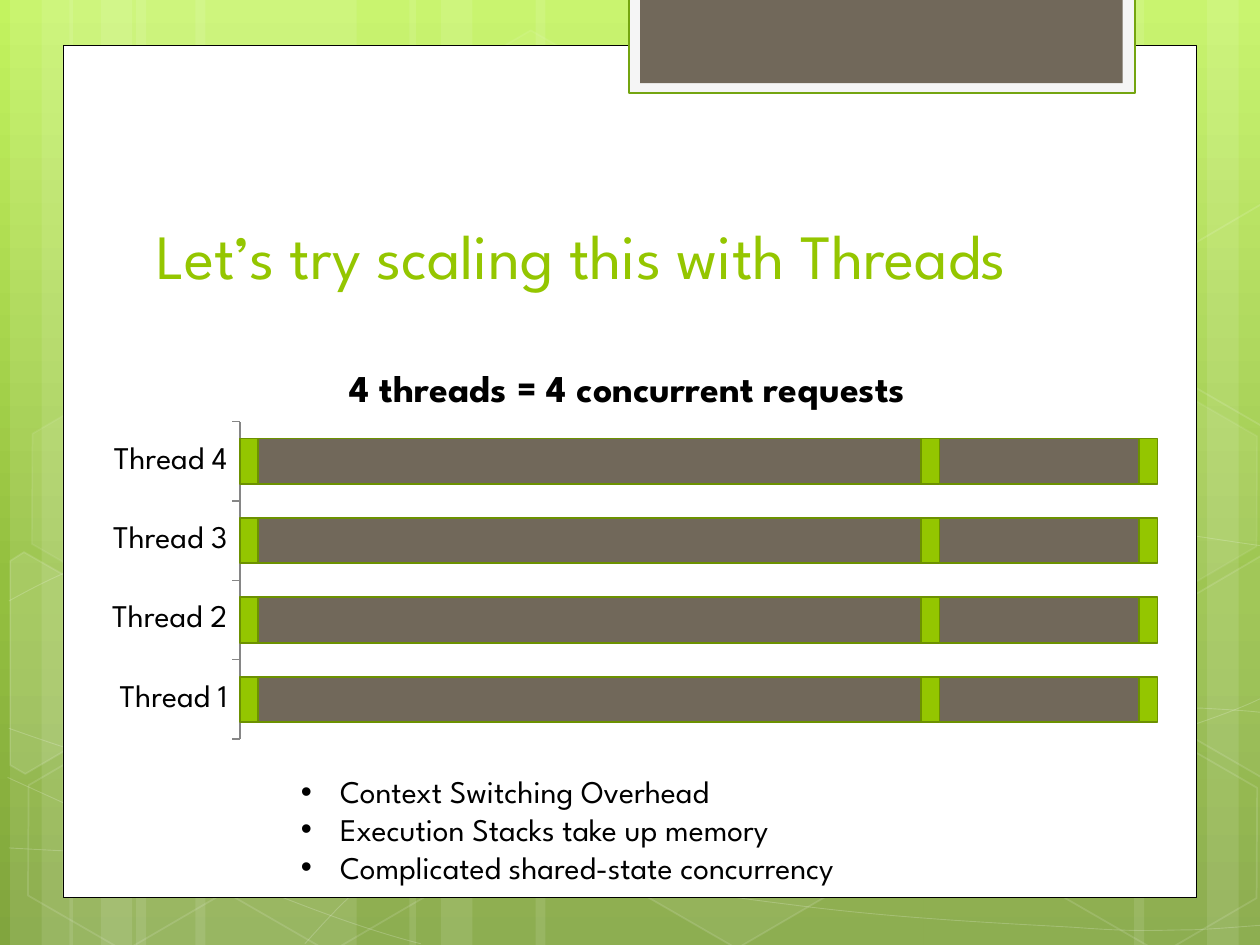
import copy
import math

import lxml.etree
import pptx
import pptx.chart.data
import pptx.dml.color
import pptx.enum.chart
import pptx.enum.shapes
import pptx.enum.text
import pptx.oxml.ns
import pptx.util

FONT = "League Spartan"
WHITE, BLACK, GREEN, DARK_GREEN, BROWN = "FFFFFF", "000000", "94C600", "74A510", "71685A"
RECT = pptx.enum.shapes.MSO_SHAPE.RECTANGLE
HEXAGON = pptx.enum.shapes.MSO_SHAPE.HEXAGON
TILT = 30

# Background curves in inches: a start point, then two handles and an end per segment
CURVES = [
    [(0.07, 6.73), (0.61, 6.76), (1.15, 6.79), (1.9, 6.78), (2.65, 6.77), (3.58, 6.75),
     (4.58, 6.65), (5.58, 6.55), (7, 6.36), (7.92, 6.17), (8.83, 5.98), (9.77, 5.68),
     (10.07, 5.51)],
    [(0.07, 4.77), (0.36, 4.61), (0.65, 4.46), (1.21, 4.31), (1.78, 4.16), (2.59, 3.94),
     (3.47, 3.87), (4.36, 3.8), (5.44, 3.79), (6.54, 3.87), (7.64, 3.95), (9.47, 4.26),
     (10.07, 4.34)],
    [(0.06, 6.17), (1.27, 6.72), (2.47, 7.27), (3.34, 7.49)],
    [(0.07, 5.78), (0.38, 5.89), (0.7, 6), (1.28, 6.16), (1.86, 6.31), (2.73, 6.56),
     (3.57, 6.73), (4.4, 6.9), (5.45, 7.08), (6.28, 7.18), (7.11, 7.29), (8, 7.33),
     (8.53, 7.36), (9.05, 7.4), (9.19, 7.38), (9.45, 7.38), (9.71, 7.37), (9.89, 7.35),
     (10.07, 7.34)],
    [(2.42, 7.49), (2.6, 7.29), (2.78, 7.09), (3.02, 6.91), (3.26, 6.73), (3.6, 6.53),
     (3.88, 6.39), (4.16, 6.25), (4.33, 6.19), (4.7, 6.09), (5.06, 5.99), (5.73, 5.85),
     (6.08, 5.78), (6.44, 5.71), (6.49, 5.71), (6.8, 5.69), (7.11, 5.66), (7.6, 5.63),
     (7.94, 5.62), (8.29, 5.61), (8.86, 5.62), (8.86, 5.62), (8.86, 5.62), (9.53, 5.62),
     (9.53, 5.62), (9.71, 5.63), (9.88, 5.64), (9.97, 5.65), (10.06, 5.66), (10.03, 5.65),
     (10.06, 5.66)],
]
# Hexagons: left, top, fill opacity (None = no fill), line opacity
HEXAGONS = [
    (3.34, 0.36, 4, 8), (4.97, 5.89, 6, 12), (0.11, 5.91, None, 12),
    (0.14, 3.12, 7, 8), (1.74, 5.92, None, 12), (7.53, 4.53, 10, 12),
    (8.34, 5.93, None, 12), (8.34, 3.14, 7, 8),
]
# Hexagons cut by the slide edge: outline, centre of rotation, fill opacity
CUT_LEFT = [(0.08, 4.45), (0.19, 4.38), (0.96, 4.82), (0.95, 5.7), (0.2, 6.14), (0.08, 6.07)]
CUT_RIGHT = [(9.26, 4.85), (10.01, 4.41), (10.09, 4.46), (10.09, 6.13), (10.02, 6.17),
             (9.26, 5.73)]
CUT_UPPER = [(x, y - 2.79) for x, y in CUT_RIGHT]
CUT_HEXAGONS = [(CUT_LEFT, (0.36, 5.35), 10), (CUT_RIGHT, (9.85, 5.2), 4),
                (CUT_UPPER, (9.85, 2.41), None)]


def length(inches):
    return pptx.util.Cm(inches * 2.54)


def color(value):
    return pptx.dml.color.RGBColor.from_string(value)


def paint(fill, value, opacity=100):
    """Solid colour with an opacity in percent, or no fill for None."""
    if value is None or opacity is None:
        fill.background()
        return
    fill.solid()
    fill.fore_color.rgb = color(value)
    if opacity < 100:
        rgb = fill._xPr.find(".//" + pptx.oxml.ns.qn("a:srgbClr"))
        lxml.etree.SubElement(rgb, pptx.oxml.ns.qn("a:alpha"), val=str(opacity * 1000))


def style(sp, fill, line=None, width=1, fill_opacity=100, line_opacity=100):
    sp.shadow.inherit = False
    paint(sp.fill, fill, fill_opacity)
    paint(sp.line.fill, line, line_opacity)
    if line:
        sp.line.width = pptx.util.Pt(width)


def add_preset(s, preset, box, **look):
    sp = s.shapes.add_shape(preset, *map(length, box))
    style(sp, **look)
    return sp


def add_outline(s, points, close, **look):
    pts = [(length(x), length(y)) for x, y in points]
    builder = s.shapes.build_freeform(*pts[0])
    builder.add_line_segments(pts[1:], close=close)
    sp = builder.convert_to_shape()
    style(sp, **look)
    return sp


def add_curve(s, points, **look):
    """Outline whose points, three by three, become cubic segments."""
    sp = add_outline(s, points, False, **look)
    lines = sp._element.findall(".//" + pptx.oxml.ns.qn("a:lnTo"))
    for i in range(0, len(lines), 3):
        cubic = lxml.etree.Element(pptx.oxml.ns.qn("a:cubicBezTo"))
        lines[i].addprevious(cubic)
        for line in lines[i:i + 3]:
            cubic.append(line[0])
            line.getparent().remove(line)


def turn(points, center, degrees):
    cos, sin = math.cos(math.radians(degrees)), math.sin(math.radians(degrees))
    cx, cy = center
    return [(cx + cos * (x - cx) - sin * (y - cy), cy + sin * (x - cx) + cos * (y - cy))
            for x, y in points]


def set_font(font, value, **formats):
    for name, setting in {"name": FONT, **formats}.items():
        setattr(font, name, setting)
    font.color.rgb = color(value)


def add_text(s, box, lines, size, value, anchor, bullet=None):
    tf = s.shapes.add_textbox(*map(length, box)).text_frame
    for name, setting in {"word_wrap": True, "vertical_anchor": anchor}.items():
        setattr(tf, name, setting)
    for i, line in enumerate(lines):
        p = tf.add_paragraph() if i else tf.paragraphs[0]
        r = p.add_run()
        r.text = line
        set_font(r.font, value, size=pptx.util.Pt(size))
        if bullet:
            pPr = p._p.get_or_add_pPr()
            indent = length(0.31)
            pPr.set("marL", str(indent))
            pPr.set("indent", str(-indent))
            lxml.etree.SubElement(pPr, pptx.oxml.ns.qn("a:buFont"), typeface="Arial")
            lxml.etree.SubElement(pPr, pptx.oxml.ns.qn("a:buChar"), char=bullet)


def add_gradient(s, stops):
    fill = s.background.fill
    fill.gradient()
    fill.gradient_angle = 270
    gs_list = fill._fill._gradFill.gsLst
    gs_list.insert(1, copy.deepcopy(gs_list[0]))
    for stop, (position, value) in zip(fill.gradient_stops, stops):
        stop.position = position
        stop.color.rgb = color(value)


def add_backdrop(s):
    add_gradient(s, [(0, "C3F35F"), (0.62, "93BF3F"), (1, "81A53E")])

    # Vertical light bands, in sets of three; one set is mirrored at the right edge
    for edge, wide, mirrored in [(0.08, 1.75, False), (0.55, 1.75, False),
                                 (10.08, 1.75, True), (3.25, 3.08, False)]:
        for offset, width in [(1, wide), (0, 0.5), (0.25, 0.83)]:
            left = edge - offset - width if mirrored else edge + offset
            sp = add_preset(s, RECT, (left, 0, width, 7.5), fill=WHITE, fill_opacity=10)
            sp.rotation = 180 if mirrored else 0

    # Thin curves and hexagons
    for curve in CURVES:
        add_curve(s, curve, fill=None, line=WHITE, width=0.5, line_opacity=20)
    for left, top, fill_opacity, line_opacity in HEXAGONS:
        sp = add_preset(s, HEXAGON, (left, top, 1.75, 1.52), fill=WHITE, line=WHITE,
                        fill_opacity=fill_opacity, line_opacity=line_opacity)
        sp.adjustments[0] = 0.285
        sp.rotation = TILT
    for points, center, opacity in CUT_HEXAGONS:
        sp = add_outline(s, turn(points, center, -TILT), True, fill=WHITE, line=WHITE,
                         fill_opacity=opacity, line_opacity=12)
        sp.rotation = TILT

    # White panel and the tab at its top
    add_preset(s, RECT, (0.5, 0.36, 9, 6.76), fill=WHITE, line=BLACK, width=0.5)
    add_preset(s, RECT, (4.99, -0.02, 4.02, 0.76), fill="F5F5F5", line=DARK_GREEN, width=1.25)
    add_preset(s, RECT, (5.08, -0.02, 3.83, 0.68), fill=BROWN)


def place_plot(chart, **fractions):
    """Fix the inner plot area, in fractions of the chart."""
    qn = pptx.oxml.ns.qn
    area = chart._chartSpace.find(".//" + qn("c:plotArea"))
    for old in area.findall(qn("c:layout")):
        area.remove(old)
    layout = lxml.etree.Element(qn("c:layout"))
    area.insert(0, layout)
    manual = lxml.etree.SubElement(layout, qn("c:manualLayout"))
    settings = {"layoutTarget": "inner", "xMode": "edge", "yMode": "edge", **fractions}
    for name, setting in settings.items():
        lxml.etree.SubElement(manual, qn("c:" + name), val=str(setting))


def add_thread_chart(s, box):
    data = pptx.chart.data.CategoryChartData()
    data.categories = [f"Thread {n}" for n in range(1, 5)]
    for n, value in enumerate([2, 73, 2, 22, 2], 1):
        data.add_series(f"Series {n}", [value] * 4)
    kind = pptx.enum.chart.XL_CHART_TYPE.BAR_STACKED_100
    chart = s.shapes.add_chart(kind, *map(length, box), data).chart
    set_font(chart.font, BLACK, size=pptx.util.Pt(18))
    chart.has_legend = False
    place_plot(chart, x=0.14, y=0.18, w=0.84, h=0.8)

    # Title
    chart.has_title = True
    r = chart.chart_title.text_frame.paragraphs[0].add_run()
    r.text = "4 threads = 4 concurrent requests "
    set_font(r.font, BLACK, size=pptx.util.Pt(21.6), bold=True)

    # Axes
    chart.value_axis.has_major_gridlines = False
    chart.value_axis.visible = False
    axis = chart.category_axis
    axis.major_tick_mark = pptx.enum.chart.XL_TICK_MARK.OUTSIDE
    axis.format.line.color.rgb = color("868686")

    # Bars
    plot = chart.plots[0]
    for name, setting in {"gap_width": 75, "overlap": 100, "vary_by_categories": False}.items():
        setattr(plot, name, setting)
    for i, series in enumerate(plot.series):
        paint(series.format.fill, BROWN if i % 2 else GREEN)
        series.format.line.color.rgb = color("6C9100")
        series.format.line.width = pptx.util.Pt(1)


def main():
    prs = pptx.Presentation()
    prs.slide_width, prs.slide_height = pptx.util.Cm(25.4), pptx.util.Cm(19.05)
    s = prs.slides.add_slide(prs.slide_layouts[6])
    anchor = pptx.enum.text.MSO_ANCHOR
    add_backdrop(s)
    add_text(s, (1.14, 1.12, 8.07, 1.25), ["Let’s try scaling this with Threads"],
             36, GREEN, anchor.BOTTOM)
    add_thread_chart(s, (0.69, 2.78, 8.67, 3.15))
    add_text(s, (2.29, 6.08, 5.39, 1.01),
             ["Context Switching Overhead", "Execution Stacks take up memory",
              "Complicated shared-state concurrency"], 18, BLACK, anchor.TOP, bullet="•")
    prs.save("out.pptx")


if __name__ == "__main__":
    main()
